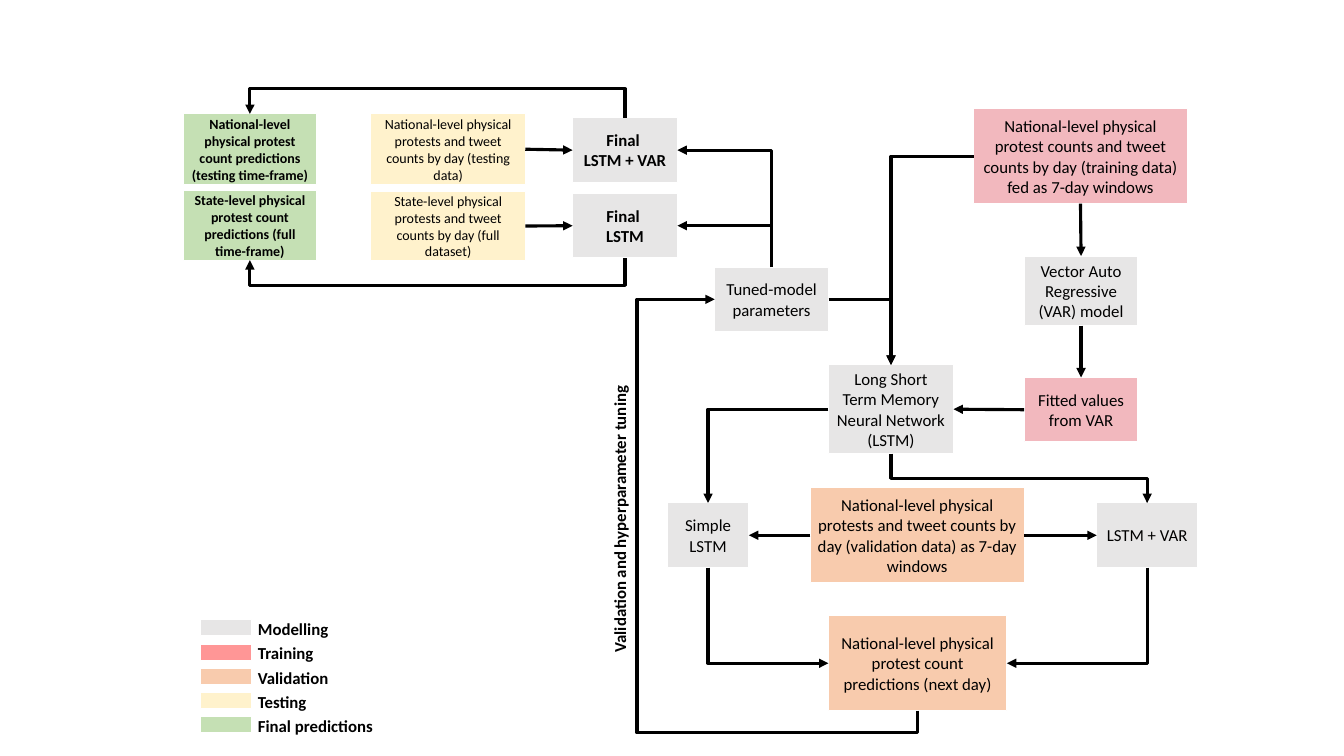
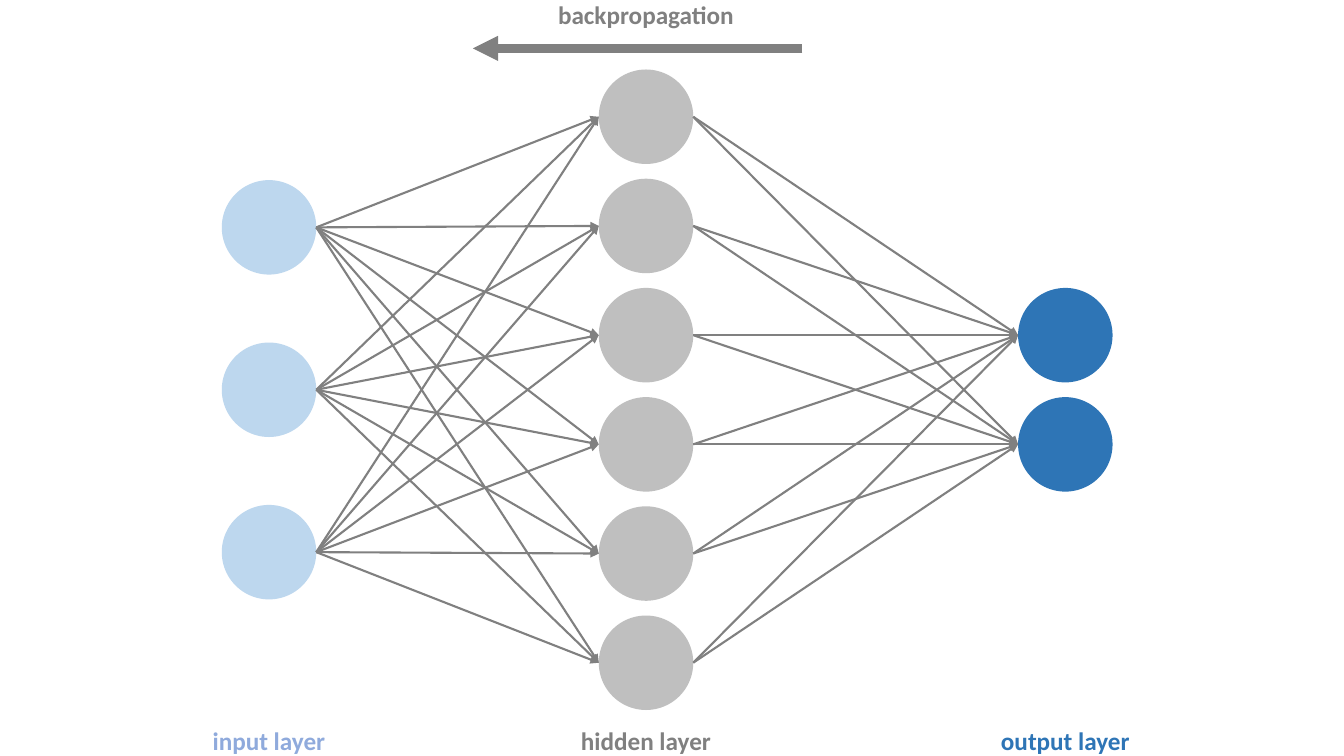
from collections import namedtuple

from lxml import etree
from pptx import Presentation
from pptx import util as u
from pptx.dml import color
from pptx.enum import shapes, text
from pptx.oxml import ns

Box = namedtuple("Box", "left top width height")

FONT = "Calibri"
COLOURS = {
    "modelling": "E7E6E6",
    "training": "F2B8BE",
    "training key": "FF9696",
    "validation": "F8CBAD",
    "testing": "FFF2CC",
    "final": "C5E0B4",
    "white": "FFFFFF",
    "black": "000000",
    "input": "BDD7EE",
    "input text": "8FAADC",
    "hidden": "BFBFBF",
    "output": "2E75B6",
    "grey": "808080",
}
TOP, LEFT, BOTTOM, RIGHT = range(4)


def rgb(name):
    return color.RGBColor.from_string(COLOURS[name])


def write(frame, words, size, colour="black", bold=False, align=text.PP_ALIGN.CENTER):
    frame.word_wrap = True
    frame.text = words
    for para in frame.paragraphs:
        para.alignment = align
        for span in para.runs:
            font = span.font
            font.name, font.size, font.bold = FONT, u.Pt(size), bold
            font.color.rgb = rgb(colour)


def add_label(page, box, words, size=12, colour="black", align=text.PP_ALIGN.CENTER):
    label = page.shapes.add_textbox(*map(u.Pt, box))
    write(label.text_frame, words, size, colour, True, align)
    return label


def add_filled(page, kind, box, fill, outlined=True):
    shape = page.shapes.add_shape(kind, *map(u.Pt, box))
    shape.shadow.inherit = False
    shape.fill.solid()
    shape.fill.fore_color.rgb = rgb(fill)
    if outlined:
        shape.line.color.rgb = rgb("white")
        shape.line.width = u.Pt(0.75)
    else:
        shape.line.fill.background()
    return shape


def add_step(page, box, fill, words, size=12, bold=False):
    step = add_filled(page, shapes.MSO_SHAPE.RECTANGLE, box, fill)
    frame = step.text_frame
    frame.margin_left = frame.margin_right = u.Pt(5.2)
    frame.margin_top = frame.margin_bottom = u.Pt(2.6)
    frame.vertical_anchor = text.MSO_ANCHOR.MIDDLE
    write(frame, words, size, bold=bold)
    return step


def add_steps(page, box, rows):
    return {
        name: add_step(page, Box(box.left + x, box.top + y, width, height), *style)
        for name, (x, y, width, height), *style in rows
    }


def style_arrow(arrow, colour, width):
    arrow.line.color.rgb = rgb(colour)
    arrow.line.width = u.Pt(width)
    properties = arrow.element.spPr
    etree.SubElement(properties.find(ns.qn("a:ln")), ns.qn("a:tailEnd"), type="triangle")
    etree.SubElement(properties, ns.qn("a:effectLst"))


def add_arrow(page, start, end, colour, width):
    ends = map(u.Pt, (*start, *end))
    arrow = page.shapes.add_connector(shapes.MSO_CONNECTOR.STRAIGHT, *ends)
    style_arrow(arrow, colour, width)


def side_point(shape, side):
    middle_x, middle_y = shape.left + shape.width // 2, shape.top + shape.height // 2
    return {
        TOP: (middle_x, shape.top),
        LEFT: (shape.left, middle_y),
        BOTTOM: (middle_x, shape.top + shape.height),
        RIGHT: (shape.left + shape.width, middle_y),
    }[side]


def bend(arrow, start, end, upright, lanes):
    run, drop = end[0] - start[0], end[1] - start[1]
    if upright:
        turn, flip_h, flip_v = 270, drop > 0, run < 0
        if flip_h and flip_v:
            turn, flip_h, flip_v = 90, False, False
        width, height = abs(drop), abs(run)
    else:
        turn, flip_h = (180 if run < 0 else 0), False
        flip_v = (drop > 0) == (run < 0)
        width, height = abs(run), abs(drop)
    arrow.left = (start[0] + end[0] - width) // 2
    arrow.top = (start[1] + end[1] - height) // 2
    arrow.width, arrow.height = width, height

    frame = arrow.element.spPr.find(ns.qn("a:xfrm"))
    frame.set("rot", str(turn * 60000))
    frame.set("flipH", str(int(flip_h)))
    frame.set("flipV", str(int(flip_v)))
    outline = arrow.element.spPr.find(ns.qn("a:prstGeom"))
    outline.set("prst", f"bentConnector{2 + len(lanes)}")
    guides = outline.find(ns.qn("a:avLst"))
    for number, lane in enumerate(lanes):
        axis = (number + upright) % 2
        share = (u.Pt(lane) - start[axis]) / (end[axis] - start[axis])
        etree.SubElement(guides, ns.qn("a:gd"), name=f"adj{number + 1}",
                         fmla=f"val {round(share * 100000)}")


def join(page, source, source_side, target, target_side, lanes=None):
    start, end = side_point(source, source_side), side_point(target, target_side)
    kind = shapes.MSO_CONNECTOR.STRAIGHT if lanes is None else shapes.MSO_CONNECTOR.ELBOW
    arrow = page.shapes.add_connector(kind, *start, *end)
    arrow.begin_connect(source, source_side)
    arrow.end_connect(target, target_side)
    if lanes is not None:
        bend(arrow, start, end, source_side in (TOP, BOTTOM), lanes)
    style_arrow(arrow, "black", 2.25)


def add_tuning_stage(page, box):
    steps = add_steps(page, box, [
        ("training", (265.5, 7.8, 152.6, 67.7), "training",
         "National-level physical protest counts and tweet counts by day "
         "(training data) fed as 7-day windows"),
        ("network", (161.8, 190.6, 89.3, 63.4), "modelling",
         "Long Short Term Memory Neural Network (LSTM)"),
        ("var", (301.5, 112.9, 81.4, 49.7), "modelling",
         "Vector Auto Regressive (VAR) model"),
        ("fitted", (301.5, 199.6, 81.4, 46.1), "training", "Fitted values from VAR"),
        ("simple", (46.6, 289.3, 58.3, 46.1), "modelling", "Simple LSTM"),
        ("combined", (353.4, 289.3, 72, 46.1), "modelling", "LSTM + VAR"),
        ("validation", (148.9, 278.5, 152.6, 67.7), "validation",
         "National-level physical protests and tweet counts by day "
         "(validation data) as 7-day windows"),
        ("tuned", (80.5, 120.8, 81.4, 46.1), "modelling", "Tuned-model parameters"),
        ("next day", (161.8, 369.9, 127.4, 67.7), "validation",
         "National-level physical protest count predictions (next day)"),
    ])
    loop = (box.top + 453.4, box.left + 25)
    for source, source_side, target, target_side, lanes in [
        ("training", LEFT, "network", TOP, ()),
        ("training", BOTTOM, "var", TOP, None),
        ("var", BOTTOM, "fitted", TOP, None),
        ("fitted", LEFT, "network", RIGHT, None),
        ("network", LEFT, "simple", TOP, ()),
        ("network", BOTTOM, "combined", TOP, (box.top + 271.7,)),
        ("validation", LEFT, "simple", RIGHT, None),
        ("validation", RIGHT, "combined", LEFT, None),
        ("simple", BOTTOM, "next day", LEFT, ()),
        ("combined", BOTTOM, "next day", RIGHT, ()),
        ("next day", BOTTOM, "tuned", LEFT, loop),
        ("tuned", RIGHT, "network", TOP, ()),
    ]:
        join(page, steps[source], source_side, steps[target], target_side, lanes)
    label_box = Box(box.left - 116.8, box.top + 290, 258.5, 21.6)
    add_label(page, label_box, "Validation and hyperparameter tuning").rotation = 270
    return steps


def add_final_stage(page, box, tuned):
    steps = add_steps(page, box, [
        ("full model", (279, 78.2, 74.9, 46.1), "modelling", "Final \nLSTM", 12, True),
        ("test model", (279, 24.2, 74.9, 46.1), "modelling", "Final \nLSTM + VAR", 12, True),
        ("test data", (135, 21.4, 110.2, 50.4), "testing",
         "National-level physical protests and tweet counts by day (testing data)", 10),
        ("full data", (135, 76.6, 110.2, 49.7), "testing",
         "State-level physical protests and tweet counts by day (full dataset)", 10),
        ("test result", (1, 21.4, 95, 50.4), "final",
         "National-level physical protest count predictions (testing time-frame)", 10, True),
        ("full result", (1, 76.1, 95, 49.7), "final",
         "State-level physical protest count predictions (full time-frame)", 10, True),
    ])
    for scope, side, lane in [("test", TOP, 3.4), ("full", BOTTOM, 143.8)]:
        model = steps[f"{scope} model"]
        join(page, tuned, TOP, model, RIGHT, ())
        join(page, steps[f"{scope} data"], RIGHT, model, LEFT)
        join(page, model, side, steps[f"{scope} result"], side, (box.top + lane,))


def add_legend(page, box):
    entries = [
        ("modelling", "Modelling"),
        ("training key", "Training"),
        ("validation", "Validation"),
        ("testing", "Testing"),
        ("final", "Final predictions"),
    ]
    pitch = box.height / len(entries)
    for number, (fill, words) in enumerate(entries):
        top = box.top + number * pitch
        swatch = Box(box.left, top + 4.3, 36, 11.5)
        add_filled(page, shapes.MSO_SHAPE.RECTANGLE, swatch, fill)
        caption = Box(box.left + 33.6, top, box.width - 33.6, 21.6)
        add_label(page, caption, words, align=text.PP_ALIGN.LEFT)


def add_network(page, box):
    diameter, middle = 67.5, box.top + 278.4
    layers = [
        ("input", "input text", 0, 3, 116),
        ("hidden", "grey", 269.3, 6, 78),
        ("output", "output", box.width - diameter, 2, 78),
    ]
    columns = []
    for name, ink, x, count, pitch in layers:
        left = box.left + x
        centres = [middle + (row - (count - 1) / 2) * pitch for row in range(count)]
        for centre in centres:
            node = Box(left, centre - diameter / 2, diameter, diameter)
            add_filled(page, shapes.MSO_SHAPE.OVAL, node, name, outlined=False)
        columns.append((left, centres))
        caption = Box(left + diameter / 2 - 59.4, box.top + 514.4, 118.8, 28.8)
        add_label(page, caption, f"{name} layer", 18, ink)
    for (left, sources), (right, targets) in zip(columns, columns[1:]):
        for source in sources:
            for target in targets:
                add_arrow(page, (left + diameter, source), (right, target), "grey", 1.5)

    hidden_centre = columns[1][0] + diameter / 2
    heading = Box(hidden_centre - 70.2, box.top - 4.3, 140.4, 28.8)
    add_label(page, heading, "backpropagation", 18, "grey")
    add_arrow(page, (hidden_centre + 111.7, box.top + 34.6),
              (hidden_centre - 123.7, box.top + 34.6), "grey", 6)


def main():
    deck = Presentation()
    deck.slide_width, deck.slide_height = u.Pt(960), u.Pt(540)
    blank = deck.slide_layouts[6]

    page = deck.slides.add_slide(blank)
    steps = add_tuning_stage(page, Box(430, 70, 426, 454))
    add_final_stage(page, Box(130, 60, 354, 144), steps["tuned"])
    add_legend(page, Box(143.5, 438.5, 143.6, 86.5))

    page = deck.slides.add_slide(blank)
    add_network(page, Box(158.4, 0, 636.3, 540))

    deck.save("out.pptx")


if __name__ == "__main__":
    main()
